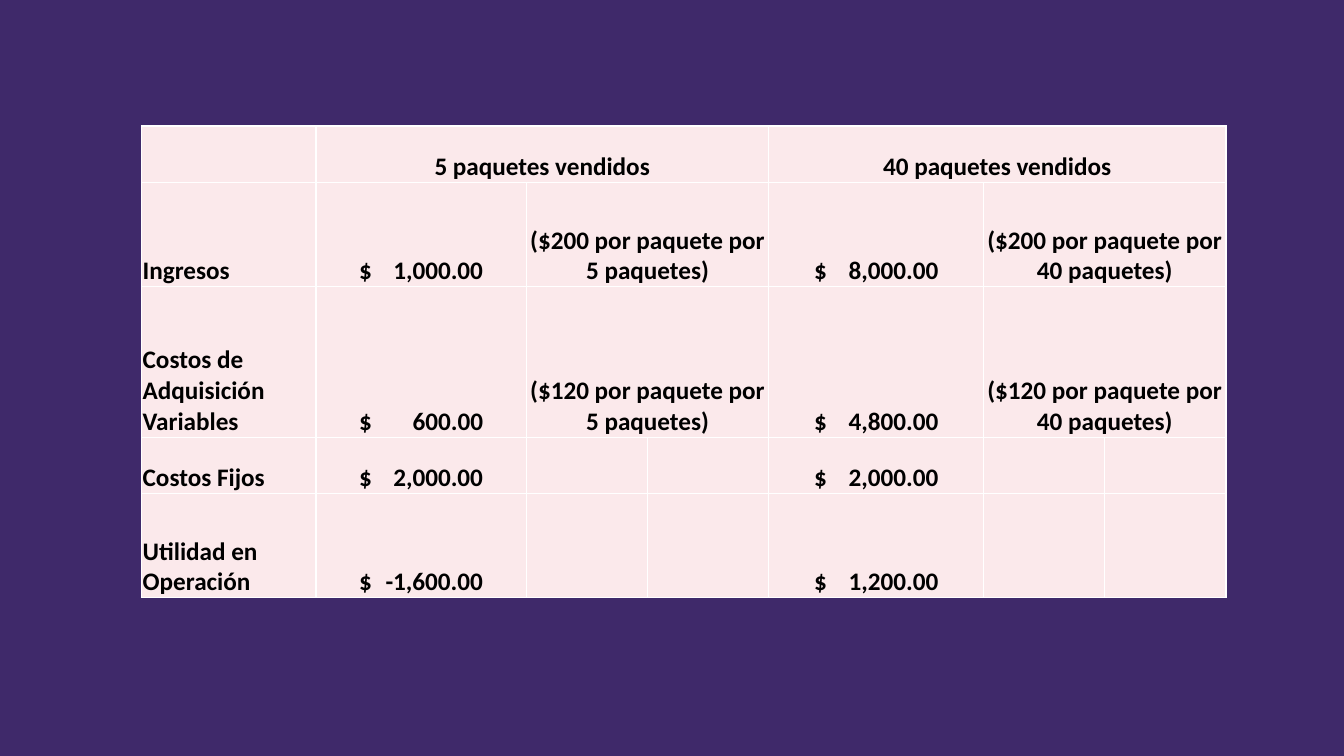
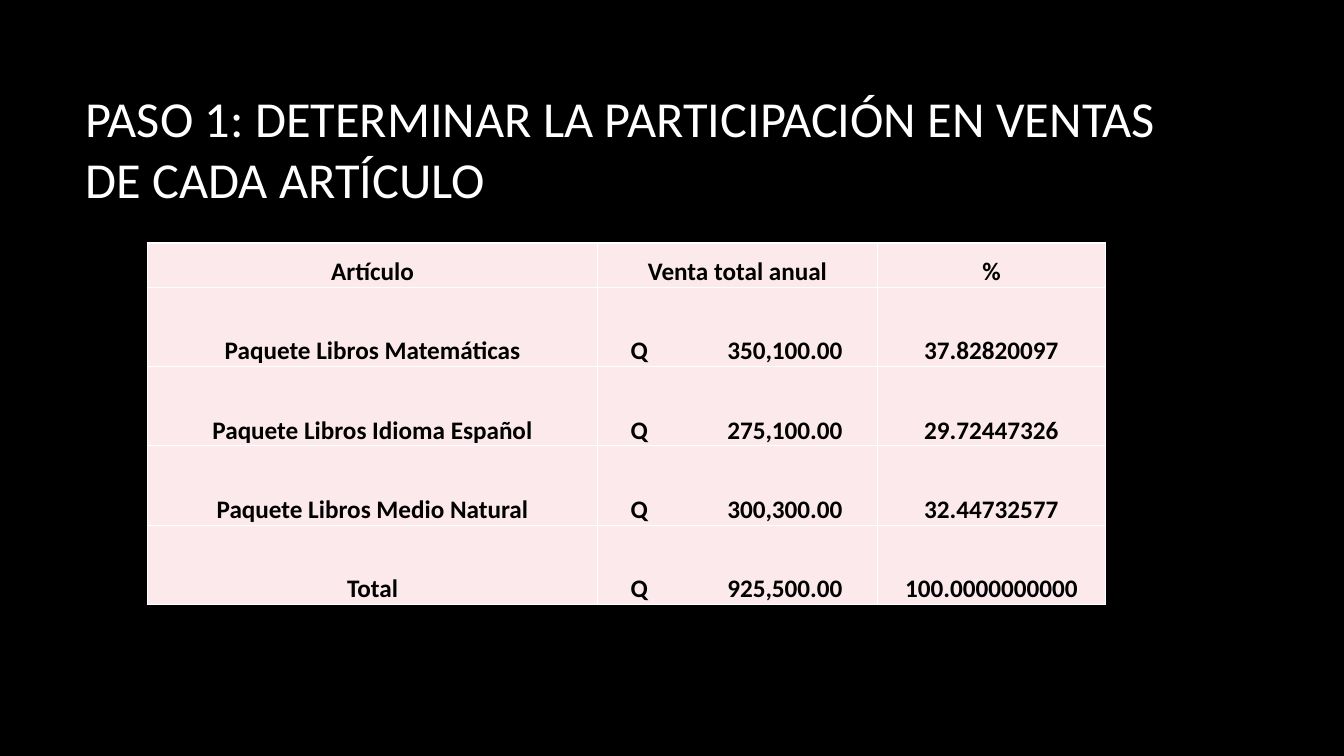
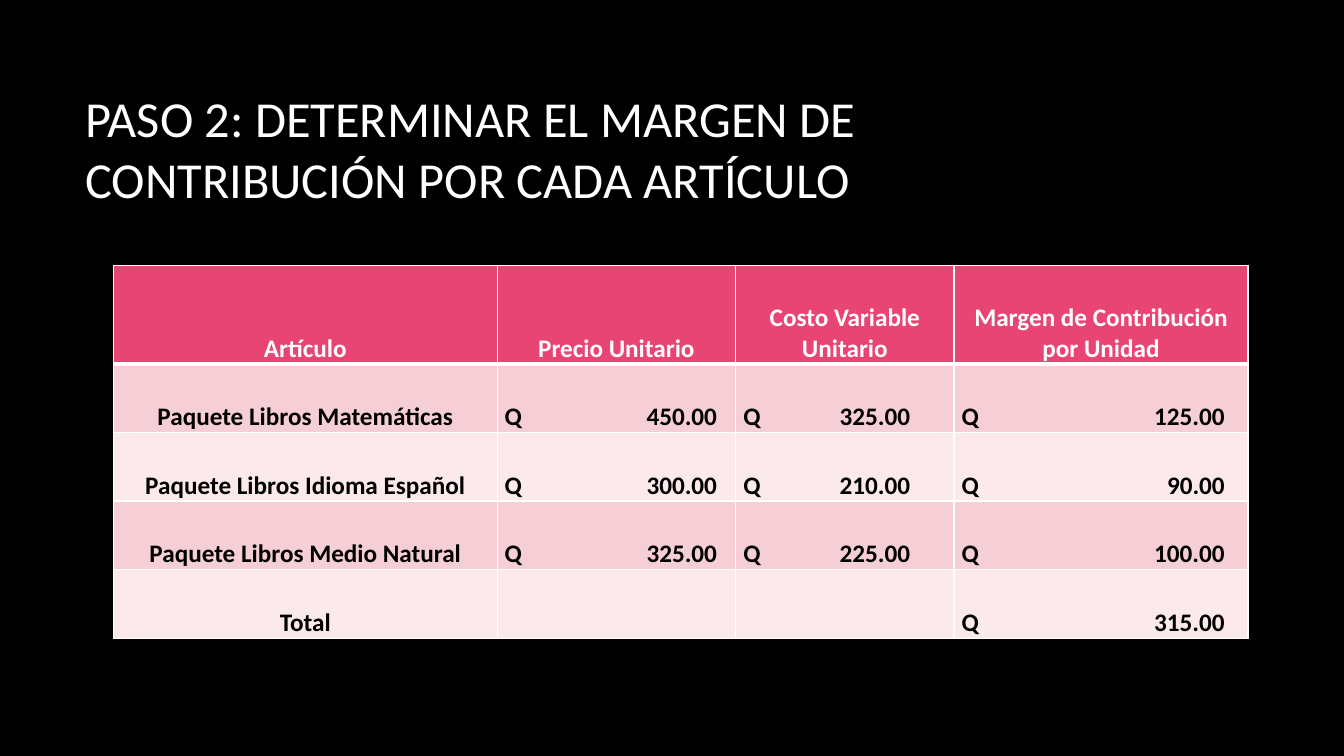
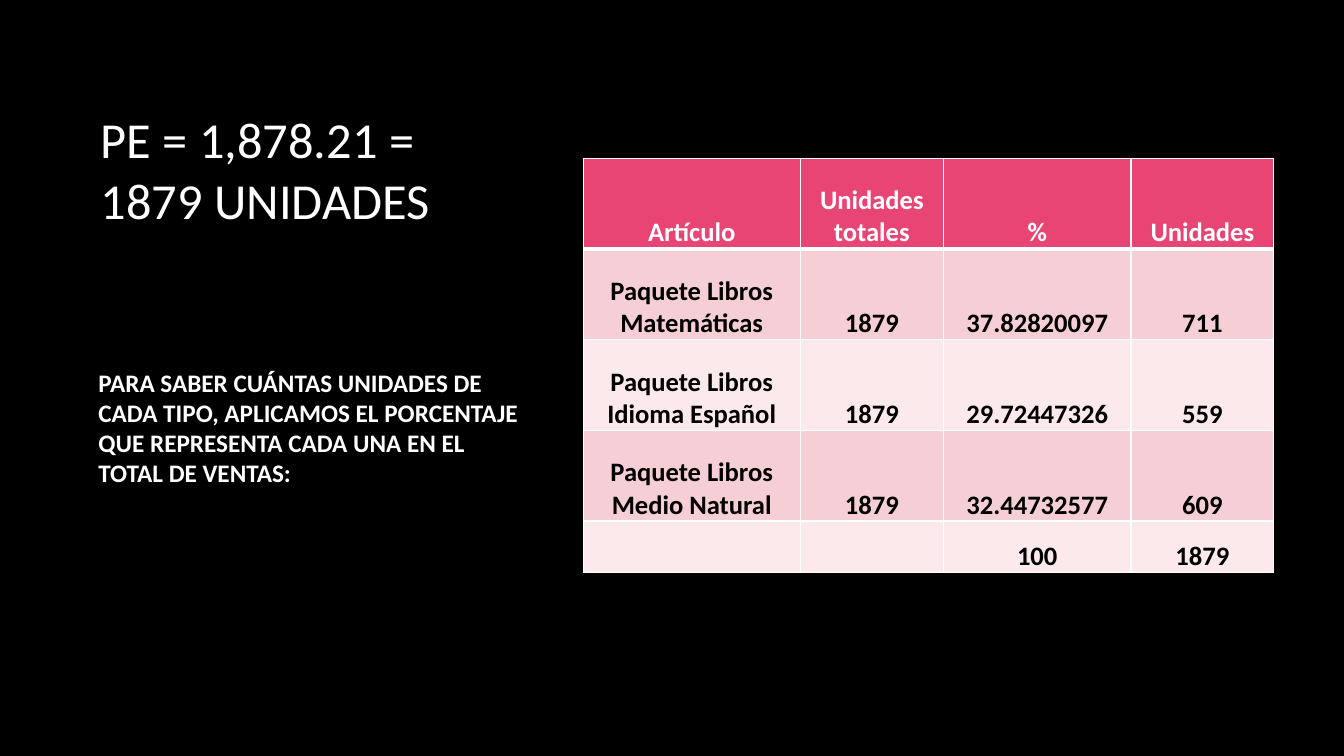
from lxml.etree import SubElement
from pptx import Presentation
from pptx.dml.color import RGBColor
from pptx.enum.text import MSO_ANCHOR as Anchor, PP_ALIGN as Align
from pptx.oxml.ns import qn
from pptx.util import Pt

WHITE, BLACK, PURPLE = "FFFFFF", "000000", "3F296A"
PINK, ROSE, BLUSH = "E84574", "F6CFD6", "FBE9EB"
FONT = "Calibri"
MATH = "Paquete Libros Matemáticas"
SPANISH = "Paquete Libros Idioma Español"
NATURE = "Paquete Libros Medio Natural"
color = RGBColor.from_string


def write(frame, text, size=18, ink=WHITE, bold=False, align=Align.LEFT, tabs=()):
    para = frame.paragraphs[0]
    para.alignment = align
    if tabs:
        stops = SubElement(para._p.get_or_add_pPr(), qn("a:tabLst"))
        for position, side in zip(tabs, ("l", "r")):
            SubElement(stops, qn("a:tab"), pos=str(Pt(position)), algn=side)
    span = para.add_run()
    span.text = text
    span.font.name = FONT
    span.font.size = Pt(size)
    span.font.bold = bold
    span.font.color.rgb = color(ink)


pages = [
    {
        "background": PURPLE,
        "texts": [],
        "place": (101.2, 90),
        "columns": [124.6, 150.4, 86.4, 86.4, 153.6, 86.6, 86.6],
        "heights": [40.3, 74.4, 107.6, 40.3, 74.4],
        "inset": 0.72,
        "tabs": {1: (30, 118.6), 4: (31.8, 120.7)},
        "left_labels": True,
        "merges": [(0, 1, 3), (0, 4, 6), (1, 2, 3), (1, 5, 6), (2, 2, 3), (2, 5, 6)],
        "rows": [
            ["", "5 paquetes vendidos", "", "", "40 paquetes vendidos", "", ""],
            ["Ingresos", "\t$\t1,000.00", "($200 por paquete por 5 paquetes)", "",
             "\t$\t8,000.00", "($200 por paquete por 40 paquetes)", ""],
            ["Costos de Adquisición Variables", "\t$\t600.00", "($120 por paquete por 5 paquetes)", "",
             "\t$\t4,800.00", "($120 por paquete por 40 paquetes)", ""],
            ["Costos Fijos", "\t$\t2,000.00", "", "", "\t$\t2,000.00", "", ""],
            ["Utilidad en Operación", "\t$\t-1,600.00", "", "", "\t$\t1,200.00", "", ""],
        ],
    },
    {
        "texts": [("PASO 1: DETERMINAR LA PARTICIPACIÓN EN VENTAS DE CADA ARTÍCULO",
                   (54, 48.2, 797.8, 114.5), 36, False)],
        "place": (105.3, 173.6),
        "columns": [321.6, 199.8, 163],
        "heights": [31.5] + [56.7] * 4,
        "inset": 0.72,
        "tabs": {1: (22.9, 174.3)},
        "rows": [
            ["Artículo", "Venta total anual", "%"],
            [MATH, "\tQ\t350,100.00", "37.82820097"],
            [SPANISH, "\tQ\t275,100.00", "29.72447326"],
            [NATURE, "\tQ\t300,300.00", "32.44732577"],
            ["Total", "\tQ\t925,500.00", "100.0000000000"],
        ],
    },
    {
        "texts": [("PASO 2: DETERMINAR EL MARGEN DE CONTRIBUCIÓN POR CADA ARTÍCULO",
                   (54, 48.2, 797.8, 114.5), 36, False)],
        "place": (81.1, 189.5),
        "columns": [274, 170.4, 156, 210],
        "heights": [70.4] + [49] * 4,
        "inset": 1.44,
        "banded": True,
        "tabs": {1: (4, 155.7), 2: (4, 123.2), 3: (4, 192)},
        "rows": [
            ["Artículo", "Precio Unitario", "Costo Variable Unitario", "Margen de Contribución por Unidad"],
            [MATH, "\tQ\t450.00", "\tQ\t325.00", "\tQ\t125.00"],
            [SPANISH, "\tQ\t300.00", "\tQ\t210.00", "\tQ\t90.00"],
            [NATURE, "\tQ\t325.00", "\tQ\t225.00", "\tQ\t100.00"],
            ["Total", "", "", "\tQ\t315.00"],
        ],
    },
    {
        "texts": [
            ("PE = 1,878.21 = 1879 UNIDADES", (65, 63.4, 313, 114.5), 36, False),
            ("PARA SABER CUÁNTAS UNIDADES DE CADA TIPO, APLICAMOS EL PORCENTAJE QUE "
             "REPRESENTA CADA UNA EN EL TOTAL DE VENTAS:", (63.2, 178, 315.4, 254.5), 18, True),
        ],
        "place": (416.6, 113),
        "columns": [155, 102.3, 134, 101.9],
        "heights": [64.8] * 4 + [36.6],
        "inset": 1.44,
        "size": 19,
        "banded": True,
        "rows": [
            ["Artículo", "Unidades totales", "%", "Unidades"],
            [MATH, "1879", "37.82820097", "711"],
            [SPANISH, "1879", "29.72447326", "559"],
            [NATURE, "1879", "32.44732577", "609"],
            ["", "", "100", "1879"],
        ],
    },
]

deck = Presentation()
deck.slide_width, deck.slide_height = Pt(960), Pt(540)

for content in pages:
    page = deck.slides.add_slide(deck.slide_layouts[6])
    page.background.fill.solid()
    page.background.fill.fore_color.rgb = color(content.get("background", BLACK))

    for text, place, size, bold in content["texts"]:
        box = page.shapes.add_textbox(*map(Pt, place))
        box.text_frame.word_wrap = True
        box.text_frame.vertical_anchor = Anchor.MIDDLE
        write(box.text_frame, text, size=size, bold=bold)

    rows, columns, heights = content["rows"], content["columns"], content["heights"]
    banded = content.get("banded", False)
    extent = (*content["place"], sum(columns), sum(heights))
    table = page.shapes.add_table(len(rows), len(columns), *map(Pt, extent)).table
    table.first_row = table.horz_banding = False
    for column, width in zip(table.columns, columns):
        column.width = Pt(width)
    for row, height in zip(table.rows, heights):
        row.height = Pt(height)

    for r, values in enumerate(rows):
        header = banded and r == 0
        fill = PINK if header else ROSE if banded and r % 2 else BLUSH
        for c, value in enumerate(values):
            cell = table.cell(r, c)
            widths = {"L": 1, "R": 1, "T": 3 if banded and r == 1 else 1, "B": 3 if header else 1}
            for side, width in widths.items():
                line = SubElement(cell._tc.get_or_add_tcPr(), qn(f"a:ln{side}"), w=str(Pt(width)))
                SubElement(SubElement(line, qn("a:solidFill")), qn("a:srgbClr"), val=WHITE)
            cell.fill.solid()
            cell.fill.fore_color.rgb = color(fill)
            cell.vertical_anchor = Anchor.BOTTOM
            cell.margin_left = cell.margin_right = cell.margin_top = Pt(content["inset"])
            cell.margin_bottom = 0
            if value:
                tabbed = value.startswith("\t")
                left = tabbed or (c == 0 and content.get("left_labels"))
                write(cell.text_frame, value, size=content.get("size", 18), bold=True,
                      ink=WHITE if header else BLACK,
                      align=Align.LEFT if left else Align.CENTER,
                      tabs=content["tabs"][c] if tabbed else ())

    for r, first, last in content.get("merges", []):
        table.cell(r, first).merge(table.cell(r, last))

deck.save("out.pptx")
